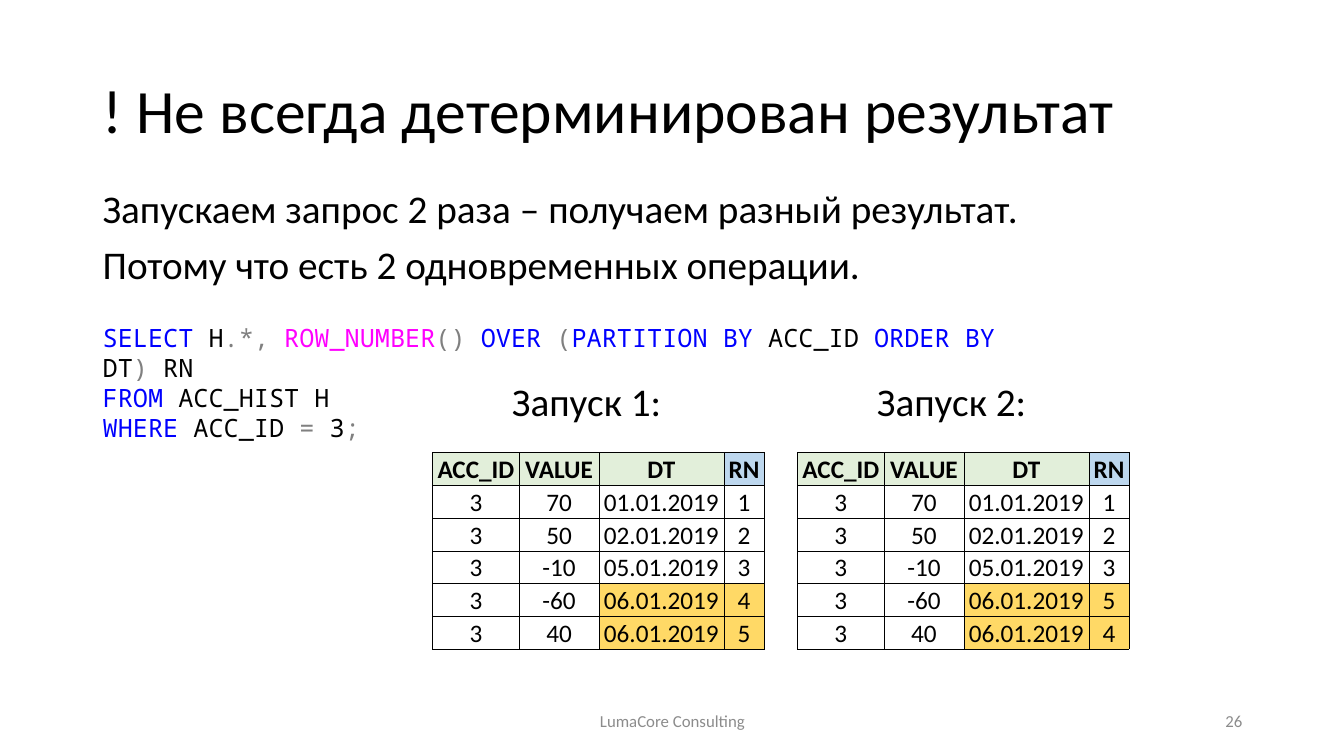
from lxml.etree import SubElement
from pptx import Presentation
from pptx.dml.color import RGBColor
from pptx.enum.text import MSO_ANCHOR, MSO_AUTO_SIZE, PP_ALIGN
from pptx.oxml.ns import qn
from pptx.util import Inches, Pt

COLORS = {
    "text": "000000",
    "footer": "8C8C8C",
    "keyword": "0000FF",
    "function": "FF00FF",
    "symbol": "808080",
    "header": "E2EFDA",
    "rank": "BDD7EE",
    "tie": "FFD966",
}

TITLE = {"size": Pt(44), "name": "Calibri"}
BODY = {"size": Pt(28), "name": "Calibri"}
FOOTER = {"size": Pt(12), "name": "Calibri"}
CODE = {"size": Pt(18), "name": "Noto Sans Mono"}
CELL = {"size": Pt(18), "name": "Calibri", "bold": False}
HEADING = {**CELL, "bold": True}

QUERY = [
    [("keyword", "SELECT"), ("text", " H"), ("symbol", ".*, "),
     ("function", "ROW_NUMBER"), ("symbol", "() "), ("keyword", "OVER "),
     ("symbol", "("), ("keyword", "PARTITION BY"), ("text", " ACC_ID "),
     ("keyword", "ORDER BY"), ("text", " DT"), ("symbol", ")"), ("text", " RN")],
    [("keyword", "FROM"), ("text", " ACC_HIST H")],
    [("keyword", "WHERE"), ("text", " ACC_ID "), ("symbol", "="),
     ("text", " 3"), ("symbol", ";")],
]

COLUMNS = {"ACC_ID": 0.86, "VALUE": 0.79, "DT": 1.24, "RN": 0.4}
OPERATIONS = [
    ("70", "01.01.2019"),
    ("50", "02.01.2019"),
    ("-10", "05.01.2019"),
    ("-60", "06.01.2019"),
    ("40", "06.01.2019"),
]
TIED_DATE = "06.01.2019"
LAUNCHES = {"Запуск 1:": "12345", "Запуск 2:": "12354"}
LAUNCH_STEP = 3.62


def apply(target, values):
    for attribute, value in values.items():
        setattr(target, attribute, value)


def add_run(paragraph, text, font, color="text"):
    run = paragraph.add_run()
    run.text = text
    apply(run.font, font)
    run.font.color.rgb = RGBColor.from_string(COLORS[color])


def add_text(slide, box, lines, font, frame_format=None, paragraph_format=None):
    frame = slide.shapes.add_textbox(*map(Inches, box)).text_frame
    apply(frame, {"word_wrap": True, **(frame_format or {})})
    for index, line in enumerate(lines):
        paragraph = frame.add_paragraph() if index else frame.paragraphs[0]
        apply(paragraph, paragraph_format or {})
        for color, text in line:
            add_run(paragraph, text, font, color)


def add_borders(cell):
    properties = cell._tc.get_or_add_tcPr()
    for side in ("lnL", "lnR", "lnT", "lnB"):
        border = SubElement(properties, qn(f"a:{side}"), w=str(Pt(0.5)))
        fill = SubElement(border, qn("a:solidFill"))
        SubElement(fill, qn("a:srgbClr"), val=COLORS["text"])


def cell_color(row, column, date):
    if row == 0:
        return "rank" if column == "RN" else "header"
    if date == TIED_DATE and column in ("DT", "RN"):
        return "tie"
    return None


def fill_cell(cell, text, font, color):
    apply(cell, {
        "vertical_anchor": MSO_ANCHOR.BOTTOM,
        "margin_left": Inches(0.01),
        "margin_right": Inches(0.01),
        "margin_top": Inches(0.01),
        "margin_bottom": 0,
    })
    add_borders(cell)
    if color:
        cell.fill.solid()
        cell.fill.fore_color.rgb = RGBColor.from_string(COLORS[color])
    else:
        cell.fill.background()
    paragraph = cell.text_frame.paragraphs[0]
    paragraph.alignment = PP_ALIGN.CENTER
    add_run(paragraph, text, font)


def add_result(slide, left, ranks):
    rows = [tuple(COLUMNS)]
    rows += [("3", *operation, rank) for operation, rank in zip(OPERATIONS, ranks)]
    result = slide.shapes.add_table(
        len(rows), len(COLUMNS), Inches(left), Inches(4.49),
        Inches(sum(COLUMNS.values())), Inches(1.95),
    ).table
    apply(result, {"first_row": False, "horz_banding": False})
    for column, width in zip(result.columns, COLUMNS.values()):
        column.width = Inches(width)
    for row, values in enumerate(rows):
        for position, (name, value) in enumerate(zip(COLUMNS, values)):
            fill_cell(result.cell(row, position), value,
                      CELL if row else HEADING, cell_color(row, name, values[2]))


def main():
    presentation = Presentation()
    apply(presentation, {"slide_width": Inches(13.33), "slide_height": Inches(7.5)})
    slide = presentation.slides.add_slide(presentation.slide_layouts[6])
    middle = {"vertical_anchor": MSO_ANCHOR.MIDDLE}
    growing = {"auto_size": MSO_AUTO_SIZE.SHAPE_TO_FIT_TEXT}

    add_text(slide, (0.92, 0.4, 11.5, 1.45),
             [[("text", "! Не всегда детерминирован результат")]],
             TITLE, middle, {"line_spacing": 0.9})
    add_text(slide, (9.42, 6.95, 3, 0.4), [[("footer", "26")]],
             FOOTER, middle, {"alignment": PP_ALIGN.RIGHT})
    add_text(slide, (4.42, 6.95, 4.5, 0.4), [[("footer", "LumaCore Consulting")]],
             FOOTER, middle, {"alignment": PP_ALIGN.CENTER})
    add_text(slide, (0.92, 1.83, 11.5, 1.15),
             [[("text", "Запускаем запрос 2 раза – получаем разный результат.")],
              [("text", "Потому что есть 2 одновременных операции.")]],
             BODY, None, {"line_spacing": 0.9, "space_before": Pt(10)})
    add_text(slide, (0.92, 3.15, 9.39, 1.01), QUERY, CODE, growing,
             {"line_spacing": Pt(21.4)})

    for index, (label, ranks) in enumerate(LAUNCHES.items()):
        offset = index * LAUNCH_STEP
        add_text(slide, (4.98 + offset, 3.69, 1.9, 0.57), [[("text", label)]],
                 BODY, growing)
        add_result(slide, 4.29 + offset, ranks)

    presentation.save("out.pptx")


if __name__ == "__main__":
    main()
